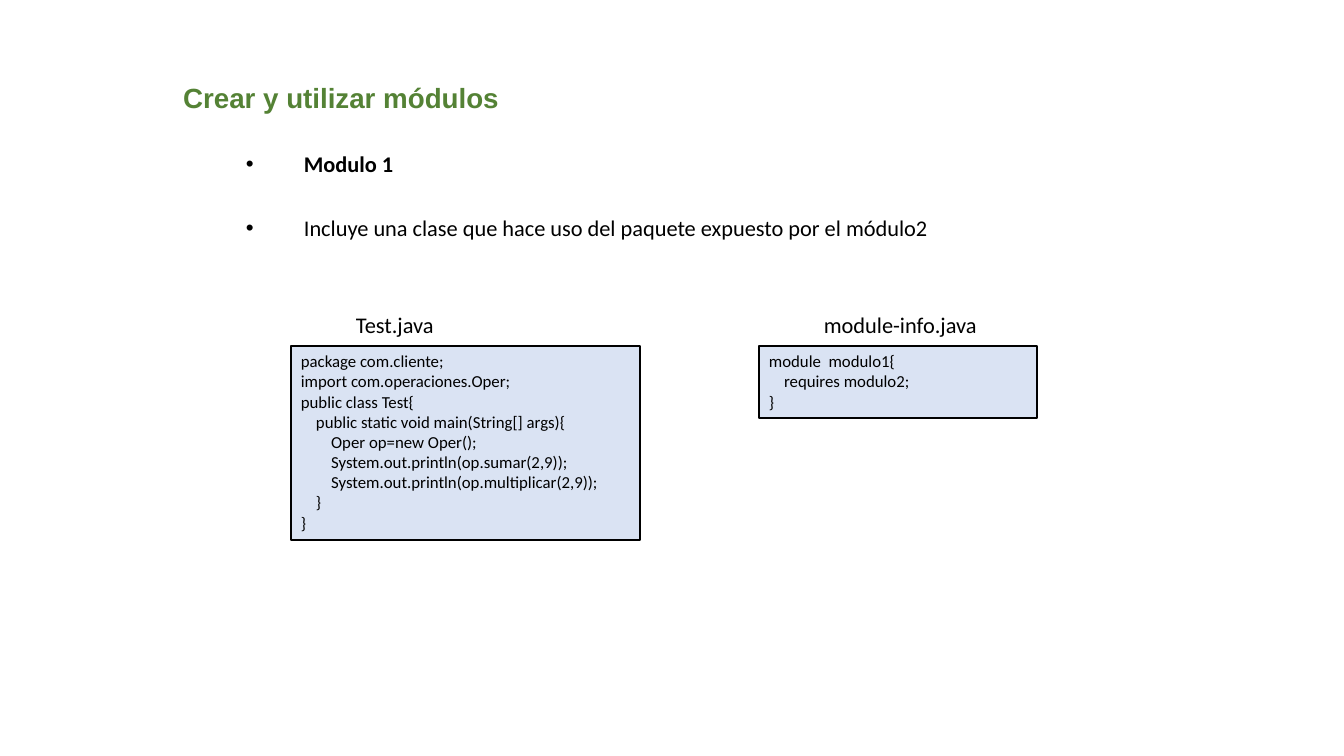
from lxml import etree
from pptx import Presentation
from pptx import util as u
from pptx.dml.color import RGBColor
from pptx.enum import shapes, text
from pptx.oxml.ns import qn

BLACK = RGBColor(0x00, 0x00, 0x00)
GREEN = RGBColor(0x54, 0x82, 0x35)
PALE_BLUE = RGBColor(0xDA, 0xE3, 0xF3)

TEST_CODE = """package com.cliente;
import com.operaciones.Oper;
public class Test{
    public static void main(String[] args){
        Oper op=new Oper();
        System.out.println(op.sumar(2,9));
        System.out.println(op.multiplicar(2,9));
    }
}"""
MODULE_CODE = """module  modulo1{
    requires modulo2;
}"""


def px(length):
    return u.Emu(round(length * 914400 / 100.8))


class SlideBuilder:
    """Holds the style and the current slide, and adds each kind of element."""

    body_font = "Calibri"
    title_font = "Arial"

    def __init__(self, presentation):
        self.slide = presentation.slides.add_slide(presentation.slide_layouts[5])

    def style(self, paragraph, size, color=BLACK, bold=False, font=None):
        paragraph.alignment = text.PP_ALIGN.LEFT
        for run in paragraph.runs:
            run.font.name = font or self.body_font
            run.font.size = u.Pt(size)
            run.font.bold = bold
            run.font.color.rgb = color

    def title(self, wording, left, top, width, height):
        shape = self.slide.shapes.title
        shape.left, shape.top, shape.width, shape.height = map(px, (left, top, width, height))
        frame = shape.text_frame
        frame.text = wording
        frame.vertical_anchor = text.MSO_ANCHOR.BOTTOM
        frame.margin_bottom = px(33)
        frame.paragraphs[0].line_spacing = 0.9
        self.style(frame.paragraphs[0], 19.8, GREEN, True, self.title_font)

    def text_box(self, wording, left, top, width, height, size=16):
        shape = self.slide.shapes.add_textbox(*map(px, (left, top, width, height)))
        frame = shape.text_frame
        frame.word_wrap = True
        frame.text = wording
        for paragraph in frame.paragraphs:
            self.style(paragraph, size)
        return frame

    def bullets(self, items, left, top, width, height):
        frame = self.text_box("\n".join(items), left, top, width, height)
        for index, paragraph in enumerate(frame.paragraphs):
            properties = paragraph._p.get_or_add_pPr()
            properties.set("marL", str(px(58)))
            properties.set("indent", str(-px(58)))
            etree.SubElement(properties, qn("a:buFont"), typeface="Arial")
            etree.SubElement(properties, qn("a:buChar"), char="•")
            paragraph.line_spacing = 1.5
            paragraph.space_before = u.Pt(5 if index else 0)
            paragraph.space_after = u.Pt(12)
            self.style(paragraph, 16, bold=index == 0)

    def code_box(self, code, left, top, width, height):
        shape = self.slide.shapes.add_shape(
            shapes.MSO_SHAPE.RECTANGLE, *map(px, (left, top, width, height)))
        shape.shadow.inherit = False
        shape.fill.solid()
        shape.fill.fore_color.rgb = PALE_BLUE
        shape.line.color.rgb = BLACK
        shape.line.width = u.Pt(1)
        frame = shape.text_frame
        frame.text = code
        frame.word_wrap = True
        frame.auto_size = text.MSO_AUTO_SIZE.SHAPE_TO_FIT_TEXT
        frame.vertical_anchor = text.MSO_ANCHOR.TOP
        for paragraph in frame.paragraphs:
            self.style(paragraph, 12)

    def listing(self, name, label_width, code, left, width, height):
        self.code_box(code, left, 346, width, height)
        self.text_box(name, left + 55, 306, label_width, 37)


def main():
    presentation = Presentation()
    presentation.slide_width = px(1344)
    presentation.slide_height = px(756)
    builder = SlideBuilder(presentation)
    builder.title("Crear y utilizar módulos", 173, 22, 953, 126)
    builder.bullets(
        ["Modulo 1", "Incluye una clase que hace uso del paquete expuesto por el módulo2"],
        236, 132, 886, 547)
    builder.listing("Test.java", 166, TEST_CODE, 291, 349, 194)
    builder.listing("module-info.java", 262, MODULE_CODE, 759, 278, 72)
    presentation.save("out.pptx")


if __name__ == "__main__":
    main()
